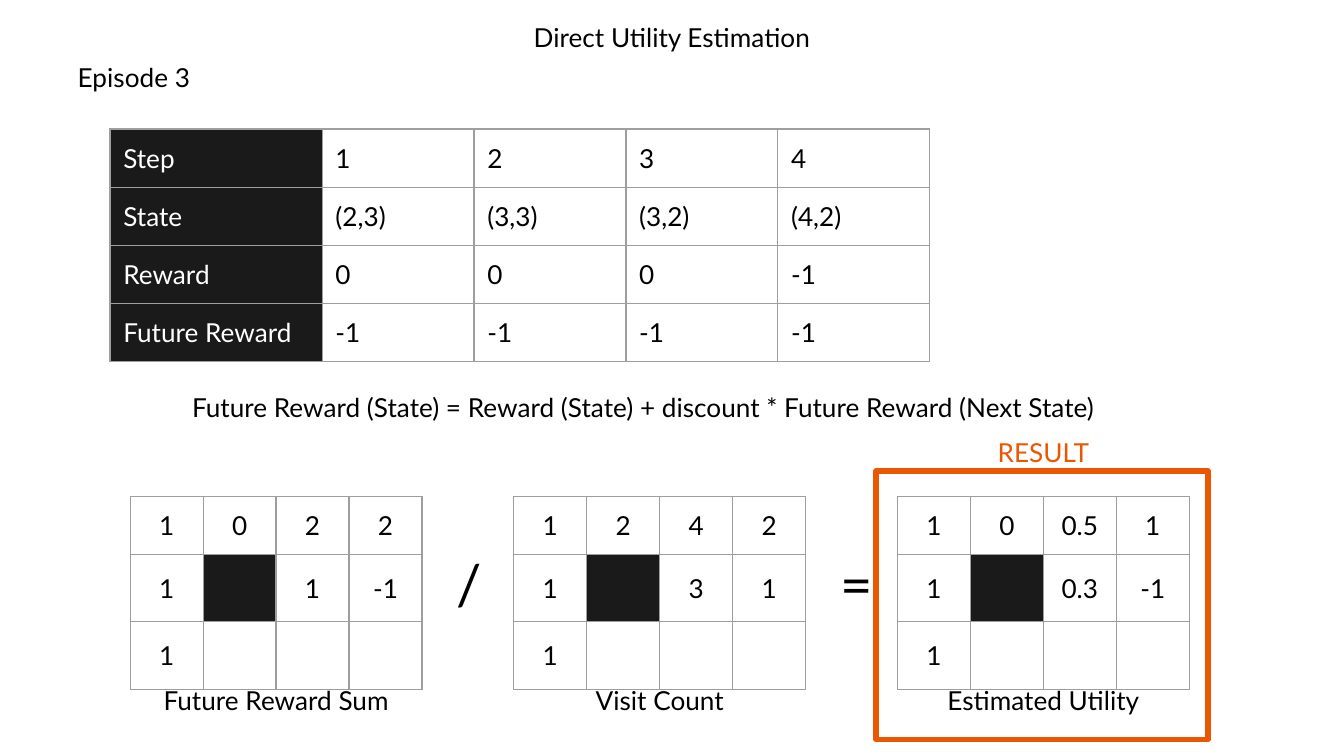
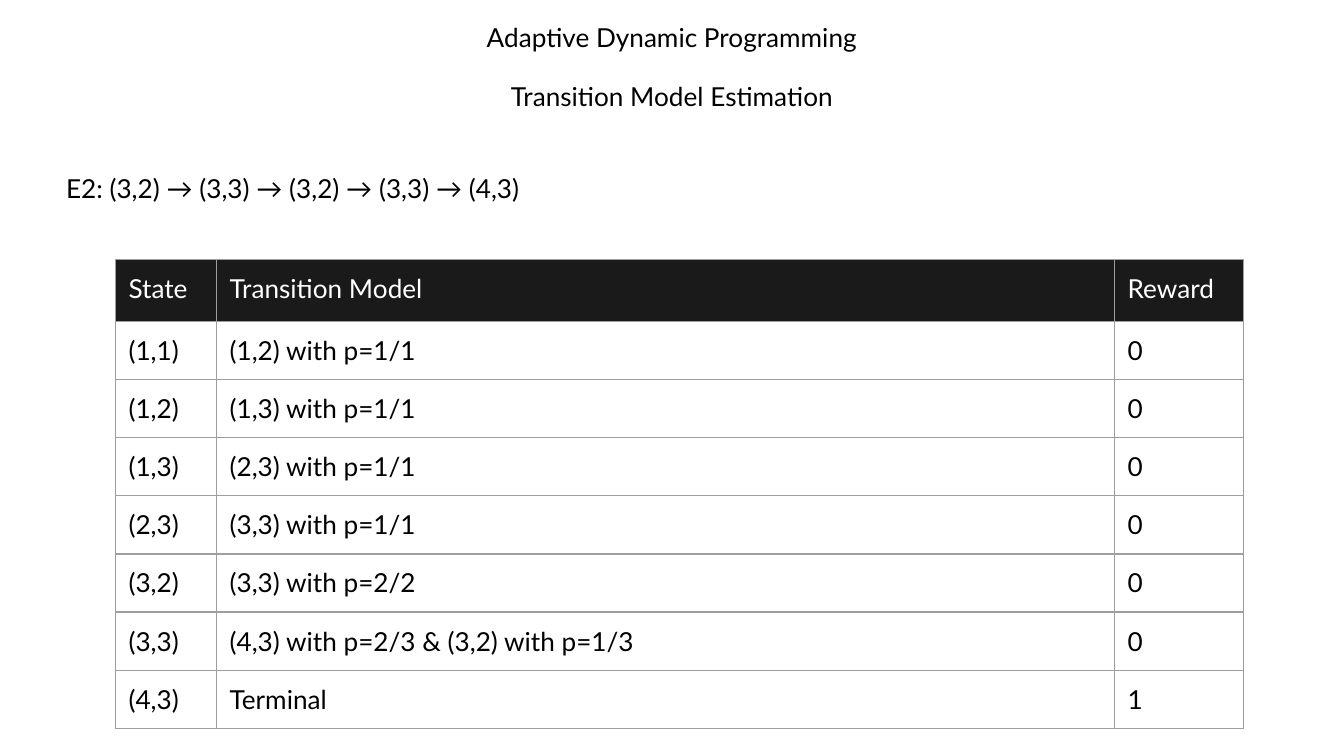
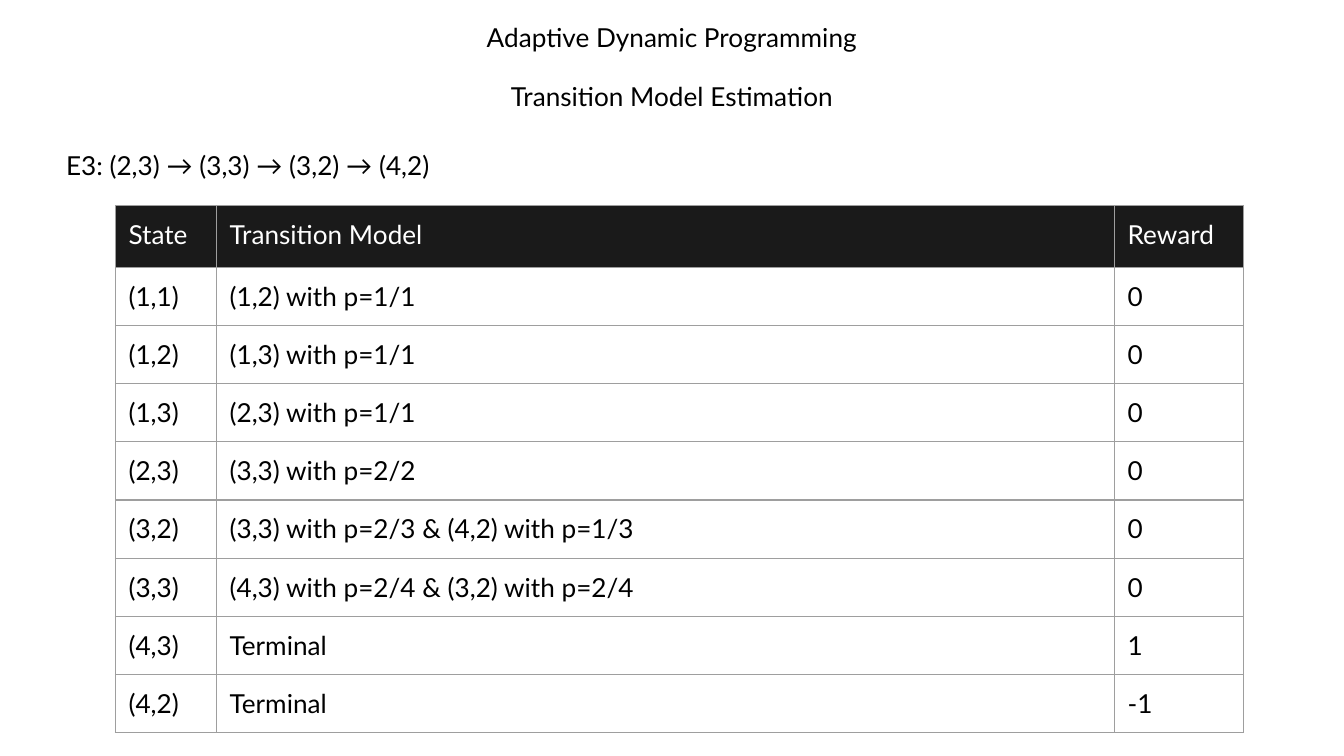
from lxml import etree
from pptx import Presentation
from pptx.dml.color import RGBColor
from pptx.enum.shapes import MSO_SHAPE
from pptx.enum.text import MSO_ANCHOR, MSO_AUTO_SIZE, PP_ALIGN
from pptx.oxml import parse_xml
from pptx.oxml.ns import nsdecls
from pptx.util import Cm, Pt

LEFT, CENTER = PP_ALIGN.LEFT, PP_ALIGN.CENTER
TOP, MIDDLE = MSO_ANCHOR.TOP, MSO_ANCHOR.MIDDLE
GROW = MSO_AUTO_SIZE.SHAPE_TO_FIT_TEXT
RECTANGLE = MSO_SHAPE.RECTANGLE

COLORS = {"text": "000000", "light": "FFFFFF", "dark": "1A1A1A",
          "border": "9E9E9E", "accent": "EB5600"}
FONT = "Lato"
SLIDE_W, SLIDE_H = 25.4, 14.29
INSET = 0.25
LINE_H = 1.12
ROW_H = 1.1
WALL = None  # grid square that cannot be entered


def rgb(name):
    return RGBColor.from_string(COLORS[name])


def write(tf, text, size=14, color="text", align=LEFT):
    p = tf.paragraphs[0]
    p.alignment = align
    r = p.add_run()
    r.text = text
    r.font.name = FONT
    r.font.size = Pt(size)
    r.font.color.rgb = rgb(color)


def set_insets(obj):
    obj.margin_left = obj.margin_right = Cm(INSET)
    obj.margin_top = obj.margin_bottom = Cm(INSET)
    obj.vertical_anchor = TOP


def fill_box(sp, text, **fmt):
    tf = sp.text_frame
    tf.word_wrap = True
    tf.auto_size = GROW
    set_insets(tf)
    write(tf, text, **fmt)


def add_text(s, text, left, top, width, height=LINE_H, **fmt):
    sp = s.shapes.add_textbox(Cm(left), Cm(top), Cm(width), Cm(height))
    fill_box(sp, text, **fmt)


def add_title(s, text):
    width = 8.3
    sp = s.shapes.title
    sp.left, sp.top = Cm((SLIDE_W - width) / 2), Cm(0.15)
    sp.width, sp.height = Cm(width), Cm(LINE_H)
    fill_box(sp, text, align=CENTER)


def set_borders(cell):
    tc_pr = cell._tc.get_or_add_tcPr()
    for side in "LRTB":
        ln = parse_xml(f'<a:ln{side} {nsdecls("a")} w="{Pt(0.75)}"/>')
        fill = etree.SubElement(ln, ln.tag.replace(f"ln{side}", "solidFill"))
        etree.SubElement(fill, fill.tag.replace("solidFill", "srgbClr"),
                         val=COLORS["border"])
        tc_pr.append(ln)


def add_table(s, rows, left, top, widths, heights, is_dark,
              align=LEFT, anchor=TOP):
    """Draw rows of text; is_dark(row, column, text) picks the dark cells."""
    table = s.shapes.add_table(len(rows), len(widths), Cm(left), Cm(top),
                               Cm(sum(widths)), Cm(sum(heights))).table
    table.first_row = table.horz_banding = False
    for column, width in zip(table.columns, widths):
        column.width = Cm(width)
    for i, (row, height) in enumerate(zip(rows, heights)):
        table.rows[i].height = Cm(height)
        for j, text in enumerate(row):
            cell = table.cell(i, j)
            set_insets(cell)
            cell.vertical_anchor = anchor
            set_borders(cell)
            dark = is_dark(i, j, text)
            if dark:
                cell.fill.solid()
                cell.fill.fore_color.rgb = rgb("dark")
            else:
                cell.fill.background()
            if text:
                write(cell.text_frame, text, align=align,
                      color="light" if dark else "text")


# Grid of states with its caption
GRID_COL = 1.38
GRID_W = 4 * GRID_COL


def grid_panel(s, left, top, rows, caption):
    add_table(s, rows, left, top, [GRID_COL] * 4, [1.08, 1.28, 1.28],
              lambda i, j, text: text is WALL, align=CENTER, anchor=MIDDLE)
    add_text(s, caption, left, top + 3.3, GRID_W, align=CENTER)


# Orange frame and label around a grid
def result_frame(s, left, top):
    sp = s.shapes.add_shape(RECTANGLE, Cm(left - 0.4), Cm(top - 0.48),
                            Cm(6.27), Cm(5.08))
    sp.shadow.inherit = False
    sp.fill.background()
    sp.line.color.rgb = rgb("accent")
    sp.line.width = Pt(3)
    add_text(s, "RESULT", left, top - 1.38, GRID_W,
             color="accent", align=CENTER)


# Division of two grids giving the third
def utility_equation(s, left, top, step=7.25):
    panels = [
        ("Future Reward Sum", "/", [["1", "0", "2", "2"],
                                    ["1", WALL, "1", "-1"],
                                    ["1", "", "", ""]]),
        ("Visit Count", "=", [["1", "2", "4", "2"],
                              ["1", WALL, "3", "1"],
                              ["1", "", "", ""]]),
        ("Estimated Utility", "", [["1", "0", "0.5", "1"],
                                   ["1", WALL, "0.3", "-1"],
                                   ["1", "", "", ""]]),
    ]
    for i, (caption, operator, rows) in enumerate(panels):
        x = left + i * step
        grid_panel(s, x, top, rows, caption)
        if operator:
            add_text(s, operator, x + 5.92, top + 0.75, 0.94, 1.8, size=30)
    result_frame(s, left + 2 * step, top)


def utility_slide(s):
    add_title(s, "Direct Utility Estimation")
    add_text(s, "Episode 3", 1.22, 0.91, 2.77)
    steps = [["Step", "1", "2", "3", "4"],
             ["State", "(2,3)", "(3,3)", "(3,2)", "(4,2)"],
             ["Reward", "0", "0", "0", "-1"],
             ["Future Reward", "-1", "-1", "-1", "-1"]]
    add_table(s, steps, 2.08, 2.44, [4.01] + [2.87] * 4, [ROW_H] * len(steps),
              lambda i, j, text: j == 0)
    add_text(s, "Future Reward (State) = Reward (State) + discount * "
             "Future Reward (Next State)", 3.38, 7.14, 18.62)
    utility_equation(s, 2.46, 9.38)


def transition_slide(s, episode, episode_top, table_top, model):
    add_title(s, "Adaptive Dynamic Programming")
    add_text(s, "Transition Model Estimation", 8.55, 1.27, 8.3, align=CENTER)
    add_text(s, episode, 1.0, episode_top, 13.61)
    rows = [["State", "Transition Model", "Reward"]] + model
    add_table(s, rows, 2.18, table_top, [1.91, 16.97, 2.44],
              [1.16] + [ROW_H] * len(model), lambda i, j, text: i == 0)


KNOWN = [["(1,1)", "(1,2) with p=1/1", "0"],
         ["(1,2)", "(1,3) with p=1/1", "0"],
         ["(1,3)", "(2,3) with p=1/1", "0"]]
GOAL = ["(4,3)", "Terminal", "1"]
MODEL_2 = KNOWN + [["(2,3)", "(3,3) with p=1/1", "0"],
                   ["(3,2)", "(3,3) with p=2/2", "0"],
                   ["(3,3)", "(4,3) with p=2/3 & (3,2) with p=1/3", "0"],
                   GOAL]
MODEL_3 = KNOWN + [["(2,3)", "(3,3) with p=2/2", "0"],
                   ["(3,2)", "(3,3) with p=2/3 & (4,2) with p=1/3", "0"],
                   ["(3,3)", "(4,3) with p=2/4 & (3,2) with p=2/4", "0"],
                   GOAL,
                   ["(4,2)", "Terminal", "-1"]]


def main():
    prs = Presentation()
    prs.slide_width, prs.slide_height = Cm(SLIDE_W), Cm(SLIDE_H)
    title_only = prs.slide_layouts[5]
    utility_slide(prs.slides.add_slide(title_only))
    transition_slide(prs.slides.add_slide(title_only),
                     "E2: (3,2) → (3,3) → (3,2) → (3,3) → (4,3)",
                     3.0, 4.91, MODEL_2)
    transition_slide(prs.slides.add_slide(title_only),
                     "E3: (2,3) → (3,3) → (3,2) → (4,2)",
                     2.57, 3.89, MODEL_3)
    prs.save("out.pptx")


if __name__ == "__main__":
    main()
